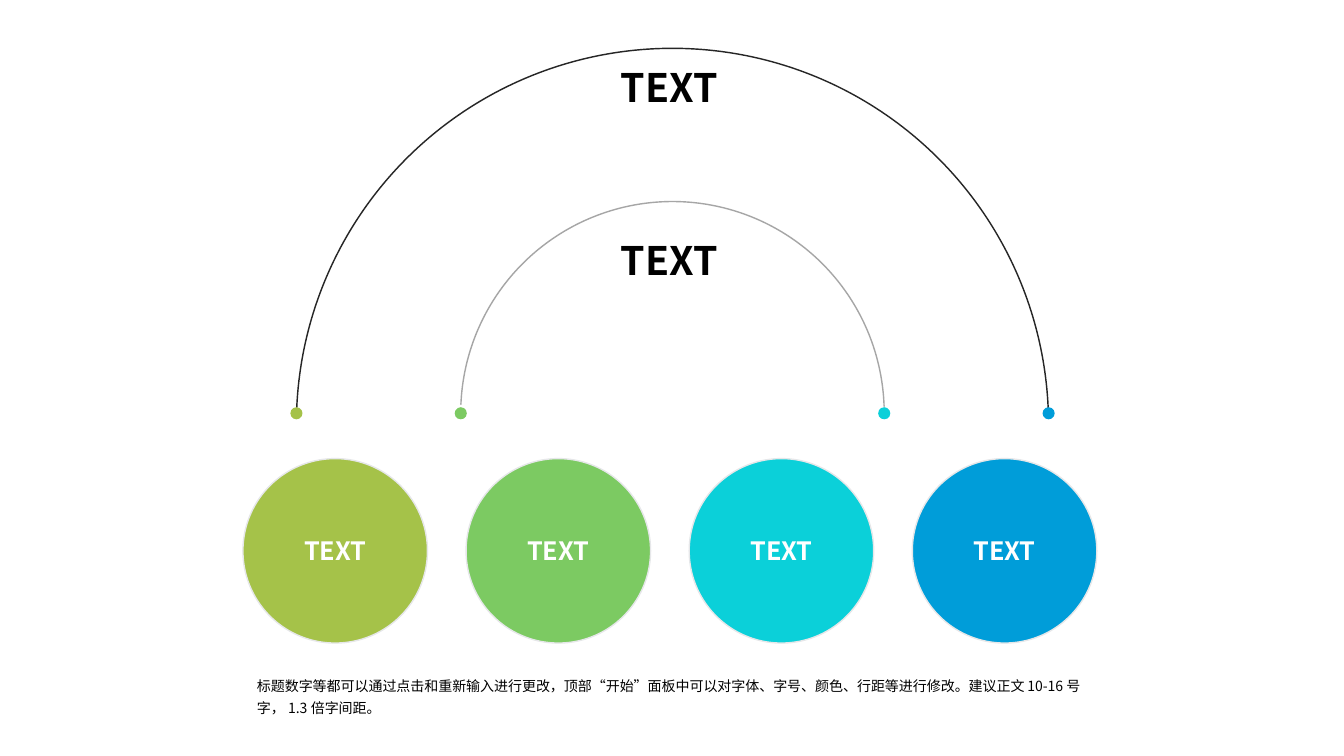
import pptx
import pptx.dml.color
import pptx.enum.shapes
import pptx.enum.text
import pptx.oxml.ns
import pptx.util
from lxml import etree

Inches = pptx.util.Inches
Pt = pptx.util.Pt
RGBColor = pptx.dml.color.RGBColor
Shape = pptx.enum.shapes.MSO_SHAPE
Align = pptx.enum.text.PP_ALIGN
Anchor = pptx.enum.text.MSO_ANCHOR
AutoSize = pptx.enum.text.MSO_AUTO_SIZE

FONT = "Noto Sans CJK SC"
COLORS = {
    "olive": "A5C249", "green": "7CCA62", "cyan": "0BD0D9", "blue": "009DD9",
    "dark": "262626", "grey": "A6A6A6", "rim": "E6E7E9",
    "black": "000000", "white": "FFFFFF",
}

deck = pptx.Presentation()
deck.slide_width = Inches(13.33)
deck.slide_height = Inches(7.5)
page = deck.slides.add_slide(deck.slide_layouts[6])


def add_figure(kind, left, top, size, fill=None, line=None):
    figure = page.shapes.add_shape(
        kind, Inches(left), Inches(top), Inches(size), Inches(size))
    figure.shadow.inherit = False
    if fill:
        figure.fill.solid()
        figure.fill.fore_color.rgb = RGBColor.from_string(COLORS[fill])
    else:
        figure.fill.background()
    if line:
        figure.line.color.rgb = RGBColor.from_string(COLORS[line])
        figure.line.width = Pt(1)
    else:
        figure.line.fill.background()
    return figure


def write(box, text, size, color, bold=False):
    box.text_frame.text = text
    para = box.text_frame.paragraphs[0]
    span = para.runs[0]
    span.font.size = Pt(size)
    span.font.bold = bold
    span.font.color.rgb = RGBColor.from_string(COLORS[color])
    span.font.name = FONT
    east_asian = etree.SubElement(
        span._r.get_or_add_rPr(), pptx.oxml.ns.qn("a:ea"))
    east_asian.set("typeface", FONT)
    return para


# Arcs, with a dot at each end
center_x, dot_y, dot_size = 6.67, 4.1, 0.12
arcs = [
    (0.48, 7.46, "dark", "olive", "blue"),
    (2.0, 4.2, "grey", "green", "cyan"),
]
for top, diameter, line, left_dot, right_dot in arcs:
    radius = diameter / 2
    arc = add_figure(Shape.BLOCK_ARC, center_x - radius, top, diameter, line=line)
    for index, value in enumerate((109.432, 214.882, 0)):
        arc.adjustments[index] = value
    for dot_x, fill in ((center_x - radius, left_dot),
                        (center_x + radius, right_dot)):
        add_figure(Shape.OVAL, dot_x - dot_size / 2, dot_y - dot_size / 2,
                   dot_size, fill)

# Row of labelled circles
for index, fill in enumerate(("olive", "green", "cyan", "blue")):
    circle = add_figure(Shape.OVAL, 2.41 + 2.213 * index, 4.55, 1.83, fill, "rim")
    circle.text_frame.vertical_anchor = Anchor.MIDDLE
    write(circle, "TEXT", 18, "white", True).alignment = Align.CENTER

# Arc labels
for top in (0.58, 2.3):
    label = page.shapes.add_textbox(
        Inches(6.06), Inches(top), Inches(1.21), Inches(0.57))
    label.text_frame.word_wrap = False
    label.text_frame.auto_size = AutoSize.SHAPE_TO_FIT_TEXT
    write(label, "TEXT", 28, "black", True)

# Note below the circles
note = page.shapes.add_textbox(
    Inches(2.45), Inches(6.62), Inches(8.43), Inches(0.54))
note.text_frame.word_wrap = True
note.text_frame.auto_size = AutoSize.SHAPE_TO_FIT_TEXT
para = write(
    note,
    "标题数字等都可以通过点击和重新输入进行更改，顶部“开始”面板中可以对字体、字号、"
    "颜色、行距等进行修改。建议正文10-16号字，1.3倍字间距。",
    10, "black")
para.line_spacing = 1.3

deck.save("out.pptx")
